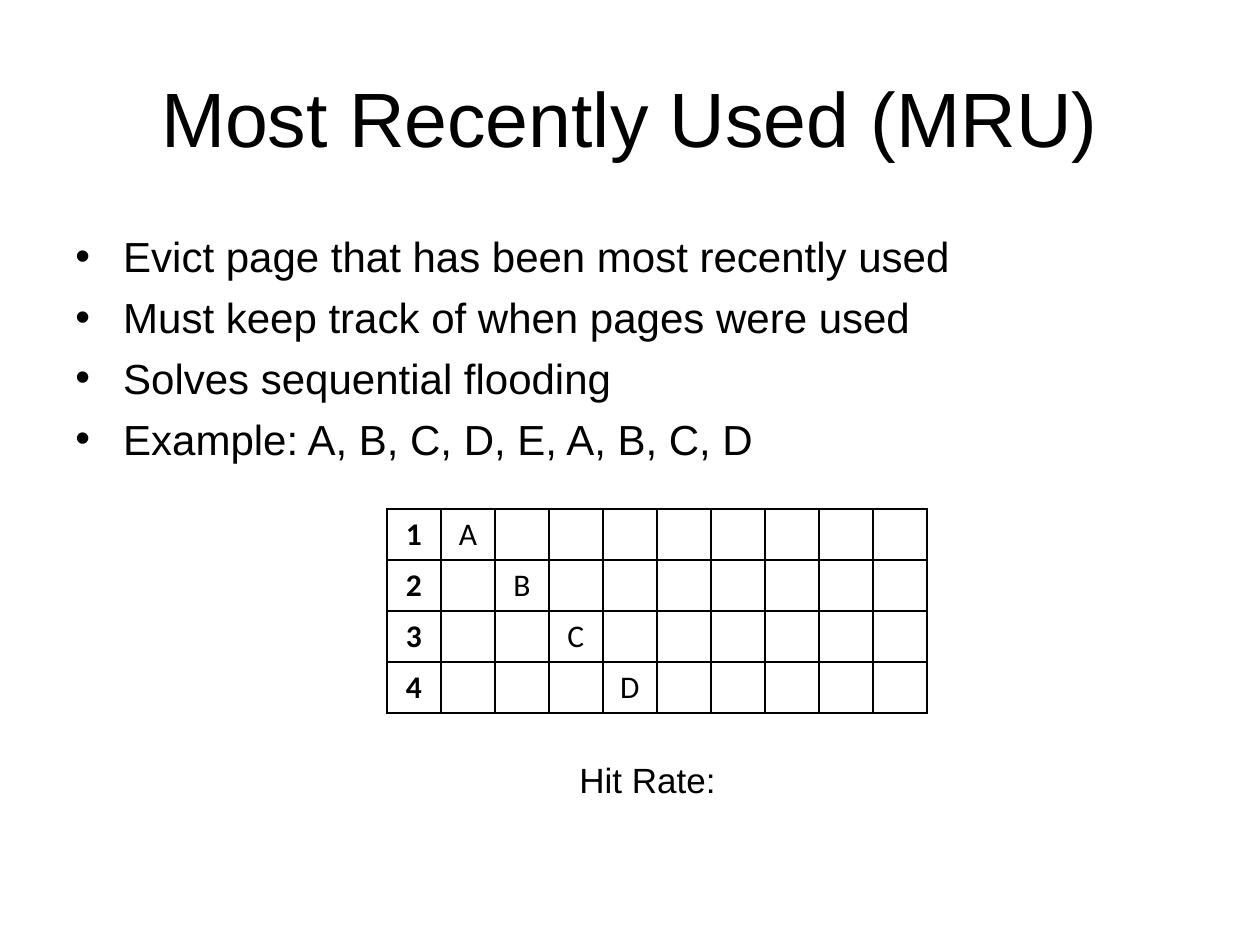
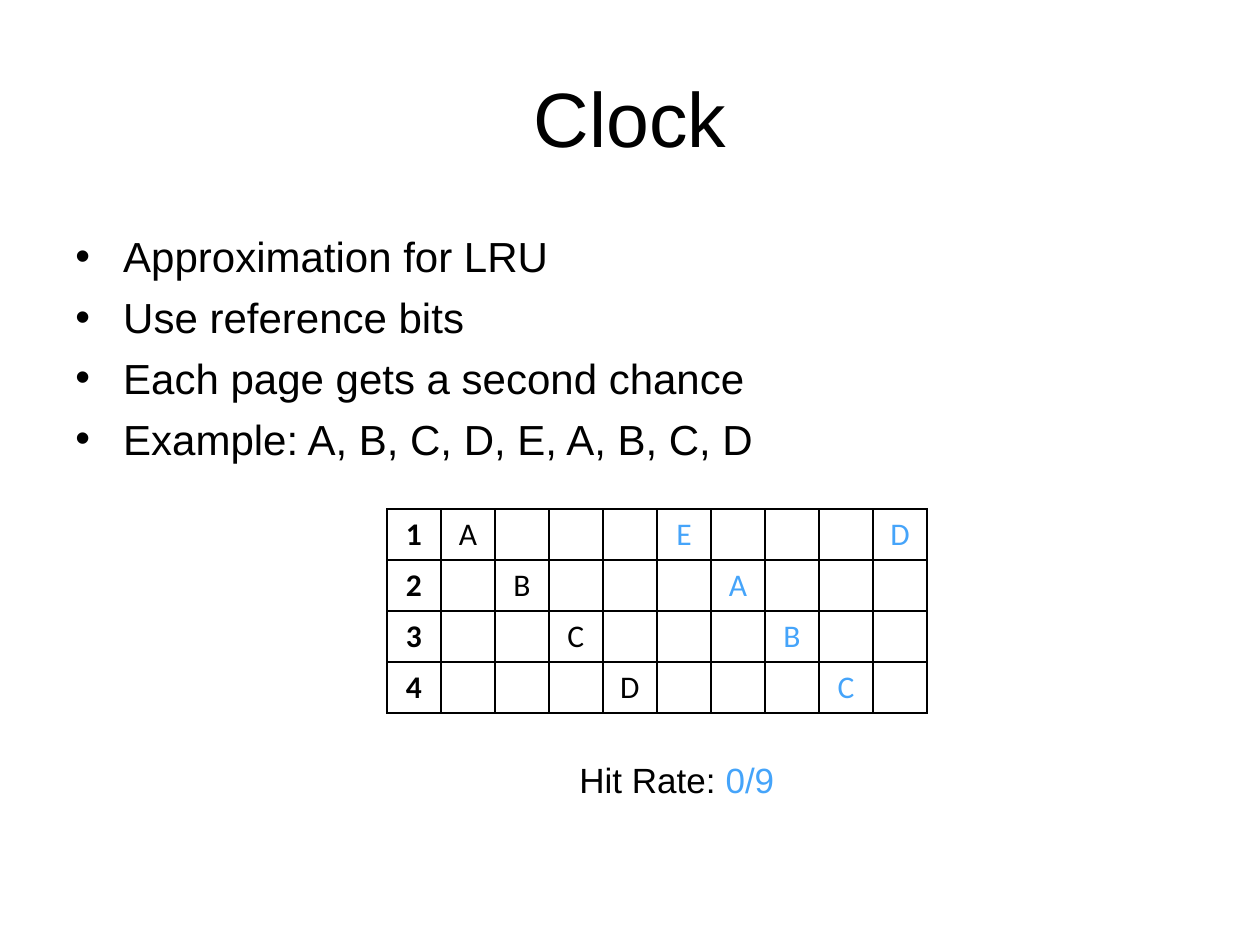
from lxml import etree
from pptx import Presentation
from pptx.dml.color import RGBColor
from pptx.enum.text import MSO_ANCHOR, PP_ALIGN
from pptx.oxml.ns import qn
from pptx.util import Inches, Pt

CENTER = PP_ALIGN.CENTER
MIDDLE = MSO_ANCHOR.MIDDLE

COLORS = {"text": "000000", "answer": "45A4FA", "border": "000000"}
BODY_FONT = "Arial"
TABLE_FONT = "Calibri"
FRAMES = 4
REQUESTS = "ABCDEABCD"
EXAMPLE = "Example: " + ", ".join(REQUESTS)

# "loaded" is how many requests the table already shows.
PAGES = [
    {"title": "Most Recently Used (MRU)",
     "bullets": ["Evict page that has been most recently used",
                 "Must keep track of when pages were used",
                 "Solves sequential flooding", EXAMPLE],
     "loaded": FRAMES, "hit_rate": ""},
    {"title": "Clock",
     "bullets": ["Approximation for LRU", "Use reference bits",
                 "Each page gets a second chance", EXAMPLE],
     "loaded": len(REQUESTS), "hit_rate": "0/9"},
]


def style(font, size, name=BODY_FONT, color="text", bold=False):
    font.size = Pt(size)
    font.name = name
    font.bold = bold
    font.color.rgb = RGBColor.from_string(COLORS[color])


def add_text_box(page, left, top, width, height):
    box = page.shapes.add_textbox(Inches(left), Inches(top), Inches(width), Inches(height))
    box.text_frame.word_wrap = True
    return box.text_frame


deck = Presentation()
deck.slide_width = Inches(10)
deck.slide_height = Inches(7.5)

for content in PAGES:
    page = deck.slides.add_slide(deck.slide_layouts[6])

    title = add_text_box(page, 0.5, 0.3, 9, 1.25)
    title.vertical_anchor = MIDDLE
    para = title.paragraphs[0]
    para.text = content["title"]
    para.alignment = CENTER
    style(para.font, 44)

    body = add_text_box(page, 0.5, 1.78, 9, 2.1)
    for index, bullet in enumerate(content["bullets"]):
        para = body.add_paragraph() if index else body.paragraphs[0]
        para.text = bullet
        properties = para._p.get_or_add_pPr()
        properties.set("marL", str(Inches(0.38)))
        properties.set("indent", str(-Inches(0.38)))
        etree.SubElement(properties, qn("a:buFont"), typeface=BODY_FONT)
        etree.SubElement(properties, qn("a:buChar"), char="•")
        if index:
            para.space_before = Pt(6)
        style(para.font, 24)

    # One row per frame; a label column, then one column per request.
    table = page.shapes.add_table(FRAMES, len(REQUESTS) + 1, Inches(3.07), Inches(4.04),
                                  Inches(4.29), Inches(1.62)).table
    table.first_row = False
    table.horz_banding = False
    for cell in table.iter_cells():
        cell_properties = cell._tc.get_or_add_tcPr()
        for side in ("lnL", "lnR", "lnT", "lnB"):
            line = etree.SubElement(cell_properties, qn("a:" + side), w=str(Pt(1)))
            fill = etree.SubElement(line, qn("a:solidFill"))
            etree.SubElement(fill, qn("a:srgbClr"), val=COLORS["border"])
        cell.fill.background()
        para = cell.text_frame.paragraphs[0]
        para.alignment = CENTER
        style(para.font, 18, TABLE_FONT)

    for frame in range(FRAMES):
        para = table.cell(frame, 0).text_frame.paragraphs[0]
        para.text = str(frame + 1)
        style(para.font, 18, TABLE_FONT, bold=True)

    for index, request in enumerate(REQUESTS[:content["loaded"]]):
        para = table.cell(index % FRAMES, index + 1).text_frame.paragraphs[0]
        para.text = request
        style(para.font, 18, TABLE_FONT, "text" if index < FRAMES else "answer")

    para = add_text_box(page, 4.5, 5.97, 3, 0.45).paragraphs[0]
    label = para.add_run()
    label.text = "Hit Rate:"
    style(label.font, 20)
    if content["hit_rate"]:
        label.text += " "
        answer = para.add_run()
        answer.text = content["hit_rate"]
        style(answer.font, 20, color="answer")

deck.save("out.pptx")
